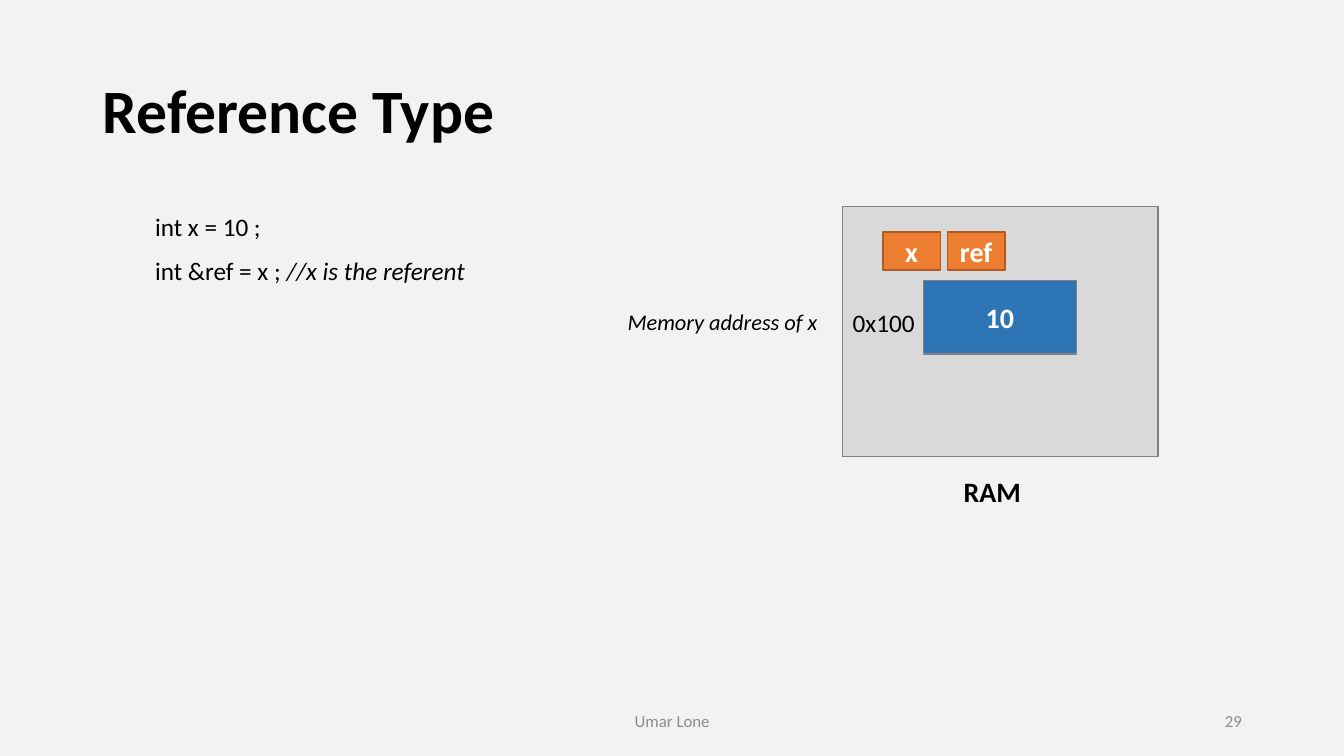
from dataclasses import dataclass

from pptx import Presentation
from pptx.dml.color import RGBColor
from pptx.enum.shapes import MSO_SHAPE
from pptx.enum.text import MSO_ANCHOR, MSO_AUTO_SIZE, PP_ALIGN
from pptx.slide import Slide
from pptx.text.text import TextFrame
from pptx.util import Pt

LEFT, CENTER, RIGHT = PP_ALIGN.LEFT, PP_ALIGN.CENTER, PP_ALIGN.RIGHT
TOP, MIDDLE = MSO_ANCHOR.TOP, MSO_ANCHOR.MIDDLE
RECTANGLE = MSO_SHAPE.RECTANGLE
NO_FIT = MSO_AUTO_SIZE.NONE

PAPER = RGBColor(0xF2, 0xF2, 0xF2)
BLACK = RGBColor(0x00, 0x00, 0x00)
WHITE = RGBColor(0xFF, 0xFF, 0xFF)
GRAY = RGBColor(0x80, 0x80, 0x80)
FOOTER_GRAY = RGBColor(0x8C, 0x8C, 0x8C)
RAM_GRAY = RGBColor(0xD9, 0xD9, 0xD9)
BLUE = RGBColor(0x2E, 0x75, 0xB6)
ORANGE = RGBColor(0xED, 0x7D, 0x31)
RUST = RGBColor(0xAF, 0x5C, 0x24)

FONT = "Calibri"
CODE_LEFT, CODE_TOP, CODE_PITCH = 103.7, 147.6, 31
NAME_LEFT, NAME_PITCH = 630.7, 46.1
ADDRESS_TOP = 216.9
FOOTER_TOP, FOOTER_HEIGHT = 500.4, 28.8


@dataclass(frozen=True)
class Area:
    left: float
    top: float
    width: float
    height: float


@dataclass(frozen=True)
class Span:
    text: str
    size: float
    color: RGBColor = BLACK
    bold: bool = False
    italic: bool = False


@dataclass(frozen=True)
class Label:
    area: Area
    spans: tuple[Span, ...]
    align: PP_ALIGN = LEFT
    anchor: MSO_ANCHOR = TOP


@dataclass(frozen=True)
class Block:
    area: Area
    fill: RGBColor
    line: RGBColor
    text: str = ""


TITLE = Label(Area(66.2, 28.8, 828, 104.4),
              (Span("Reference Type", 44, bold=True),), anchor=MIDDLE)

CODE_LINES = (
    (Span("int x = 10 ;", 18),),
    (Span("int &ref = x ; ", 18), Span("//x is the referent", 18, italic=True)),
)

BLOCKS = (
    Block(Area(601.7, 147.4, 225.4, 178.6), RAM_GRAY, GRAY),
    Block(Area(659.5, 200.2, 109.4, 52.6), BLUE, GRAY, "10"),
    *(Block(Area(NAME_LEFT + index * NAME_PITCH, 165.6, 41, 27.4), ORANGE, RUST, name)
      for index, name in enumerate(("x", "ref"))),
)

LABELS = (
    *(Label(Area(CODE_LEFT, CODE_TOP + index * CODE_PITCH, 272, 28.8), spans)
      for index, spans in enumerate(CODE_LINES)),
    Label(Area(602, ADDRESS_TOP, 73.4, 27.4), (Span("0x100", 18),), anchor=MIDDLE),
    Label(Area(630.7, 335.1, 156.2, 31.7), (Span("RAM", 20, bold=True),), CENTER),
    Label(Area(424.1, ADDRESS_TOP, 167, 26.6),
          (Span("Memory address of x", 16, italic=True),), RIGHT),
    Label(Area(318.2, FOOTER_TOP, 324, FOOTER_HEIGHT),
          (Span("Umar Lone", 12, FOOTER_GRAY),), CENTER, MIDDLE),
    Label(Area(678.2, FOOTER_TOP, 216, FOOTER_HEIGHT),
          (Span("29", 12, FOOTER_GRAY),), RIGHT, MIDDLE),
)


def lengths(area: Area) -> tuple[Pt, Pt, Pt, Pt]:
    return Pt(area.left), Pt(area.top), Pt(area.width), Pt(area.height)


def write_text(frame: TextFrame, label: Label) -> None:
    frame_format = {"word_wrap": True, "auto_size": NO_FIT,
                    "vertical_anchor": label.anchor}
    for name, value in frame_format.items():
        setattr(frame, name, value)
    para = frame.paragraphs[0]
    para.alignment = label.align
    for span in label.spans:
        run = para.add_run()
        run.text = span.text
        font_format = {"name": FONT, "size": Pt(span.size),
                       "bold": span.bold, "italic": span.italic}
        for name, value in font_format.items():
            setattr(run.font, name, value)
        run.font.color.rgb = span.color


def place_title(page: Slide, label: Label) -> None:
    title = page.shapes.title
    title.left, title.top, title.width, title.height = lengths(label.area)
    write_text(title.text_frame, label)
    title.text_frame.paragraphs[0].line_spacing = 0.9


def draw_block(page: Slide, block: Block) -> None:
    box = page.shapes.add_shape(RECTANGLE, *lengths(block.area))
    box.shadow.inherit = False
    box.fill.solid()
    box.fill.fore_color.rgb = block.fill
    box.line.color.rgb = block.line
    box.line.width = Pt(1)
    if block.text:
        span = Span(block.text, 20, WHITE, bold=True)
        write_text(box.text_frame, Label(block.area, (span,), CENTER, MIDDLE))


def draw_label(page: Slide, label: Label) -> None:
    box = page.shapes.add_textbox(*lengths(label.area))
    write_text(box.text_frame, label)


def main() -> None:
    deck = Presentation()
    deck.slide_width, deck.slide_height = Pt(960), Pt(540)
    page = deck.slides.add_slide(deck.slide_layouts.get_by_name("Title Only"))
    page.background.fill.solid()
    page.background.fill.fore_color.rgb = PAPER
    place_title(page, TITLE)
    for block in BLOCKS:
        draw_block(page, block)
    for label in LABELS:
        draw_label(page, label)
    deck.save("out.pptx")


if __name__ == "__main__":
    main()
